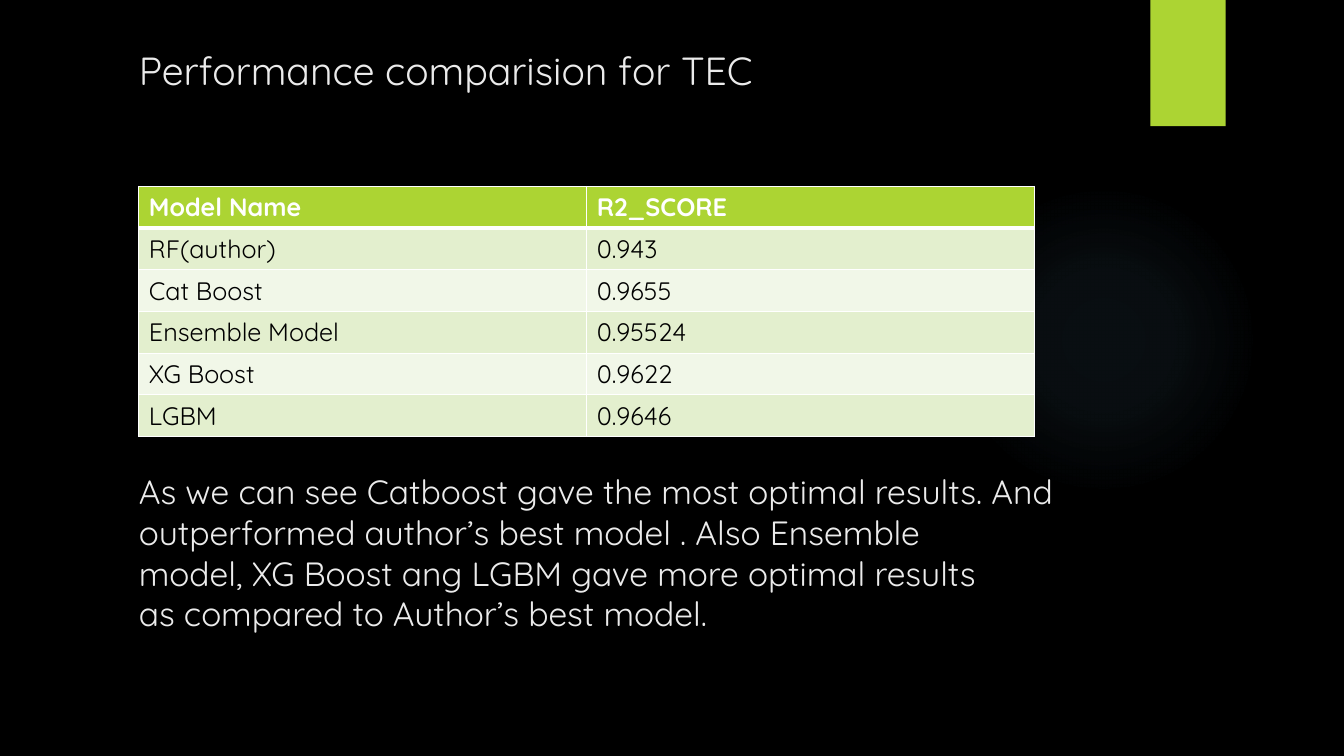
"""Build the slide that compares model scores for TEC."""
from lxml.etree import SubElement
from pptx import Presentation
from pptx.dml.color import RGBColor
from pptx.enum.shapes import MSO_SHAPE
from pptx.oxml import parse_xml
from pptx.oxml.ns import nsdecls, qn
from pptx.util import Cm, Pt

TITLE = "Performance comparision for TEC"
NOTE = ("As we can see Catboost gave the most optimal results. And "
        "outperformed author’s best model . Also Ensemble \v"
        "model, XG Boost ang LGBM gave more optimal results \v"
        "as compared to Author’s best model.")
SCORES = [
    ("Model Name", "R2_SCORE"),
    ("RF(author)", "0.943"),
    ("Cat Boost", "0.9655"),
    ("Ensemble Model", "0.95524"),
    ("XG Boost", "0.9622"),
    ("LGBM", "0.9646"),
]
GLOW = [(0, 7), (36, 6), (69, 0)]

BLACK = RGBColor(0, 0, 0)
WHITE = RGBColor(255, 255, 255)
PALE = RGBColor(0xEB, 0xEB, 0xEB)
LIME = RGBColor(0xAC, 0xD4, 0x33)
BLUE = RGBColor(0x7A, 0xC4, 0xF0)
BANDS = [RGBColor(0xF1, 0xF7, 0xE8), RGBColor(0xE3, 0xEF, 0xCE)]

LEFT, COL, ROW = 3.5, 11.29, 1.05
FACE = "Quicksand"
HEAD = {"name": FACE, "size": Pt(18), "bold": True}
CELL = {"name": FACE, "size": Pt(18), "bold": False}


def style(font, form, color):
    for key, value in form.items():
        setattr(font, key, value)
    font.color.rgb = color


def add_text(slide, text, top, high, size, pitch=None):
    frame = slide.shapes.add_textbox(Cm(LEFT), Cm(top), Cm(24), Cm(high)).text_frame
    frame.word_wrap = True
    for side in ("left", "top", "right", "bottom"):
        setattr(frame, f"margin_{side}", 0)
    para = frame.paragraphs[0]
    para.text = text
    para.line_spacing = pitch
    for run in para.runs:
        style(run.font, {"name": FACE, "size": Pt(size)}, PALE)


def add_plain(slide, kind, *box):
    shape = slide.shapes.add_shape(kind, *map(Cm, box))
    shape.shadow.inherit = False
    shape.line.fill.background()
    return shape


def add_glow(slide):
    glow = add_plain(slide, MSO_SHAPE.OVAL, 23.9, 4.65, 7.82, 7.82)
    stops = "".join(
        f'<a:gs pos="{pos * 1000}"><a:srgbClr val="{BLUE}">'
        f'<a:alpha val="{alpha * 1000}"/></a:srgbClr></a:gs>'
        for pos, alpha in GLOW)
    glow.fill.background()
    props = glow._element.spPr
    props.replace(props.find(qn("a:noFill")), parse_xml(
        f'<a:gradFill {nsdecls("a")}><a:gsLst>{stops}</a:gsLst>'
        '<a:path path="circle"><a:fillToRect l="50000" t="50000" '
        'r="50000" b="50000"/></a:path></a:gradFill>'))


def add_edges(cell, top, bottom):
    props = cell._tc.get_or_add_tcPr()
    for side, width in zip("LRTB", (1, 1, top, bottom)):
        line = SubElement(props, qn(f"a:ln{side}"), w=str(Pt(width)))
        fill = SubElement(line, qn("a:solidFill"))
        SubElement(fill, qn("a:srgbClr"), val=str(WHITE))


def add_scores(slide):
    count = len(SCORES)
    table = slide.shapes.add_table(
        count, 2, Cm(LEFT), Cm(4.7), Cm(2 * COL), Cm(count * ROW)).table
    for col in table.columns:
        col.width = Cm(COL)
    for r, row in enumerate(SCORES):
        table.rows[r].height = Cm(ROW)
        for c, text in enumerate(row):
            cell = table.cell(r, c)
            cell.text = text
            font = cell.text_frame.paragraphs[0].runs[0].font
            style(font, CELL if r else HEAD, BLACK if r else WHITE)
            add_edges(cell, 3 if r == 1 else 1, 1 if r else 3)
            cell.fill.solid()
            cell.fill.fore_color.rgb = BANDS[r % 2] if r else LIME


def main():
    deck = Presentation()
    deck.slide_width, deck.slide_height = Cm(33.87), Cm(19.05)
    slide = deck.slides.add_slide(deck.slide_layouts[6])
    slide.background.fill.solid()
    slide.background.fill.fore_color.rgb = BLACK
    add_glow(slide)
    flag = add_plain(slide, MSO_SHAPE.RECTANGLE, 28.99, 0, 1.9, 3.18)
    flag.fill.solid()
    flag.fill.fore_color.rgb = LIME
    add_text(slide, TITLE, 1.18, 1.3, 28)
    add_text(slide, NOTE, 11.87, 4.2, 24, Pt(29))
    add_scores(slide)
    deck.save("out.pptx")


if __name__ == "__main__":
    main()
